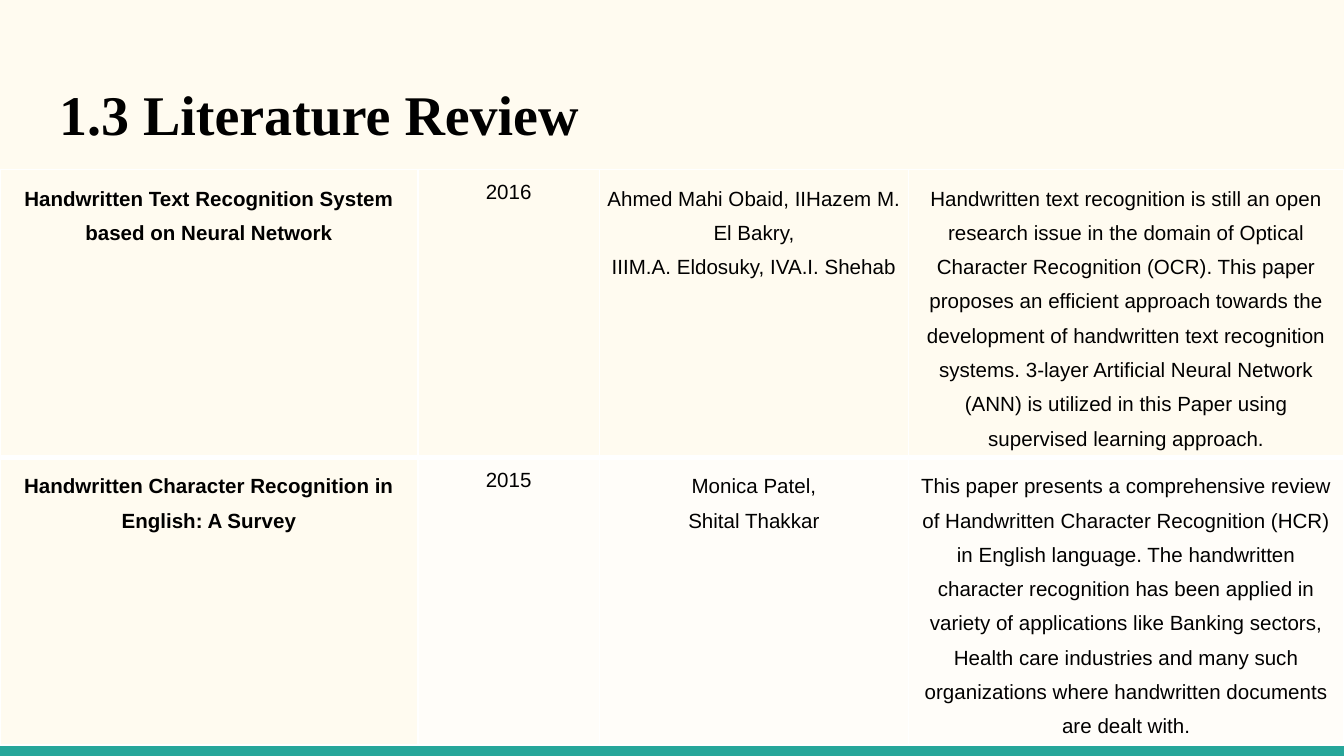
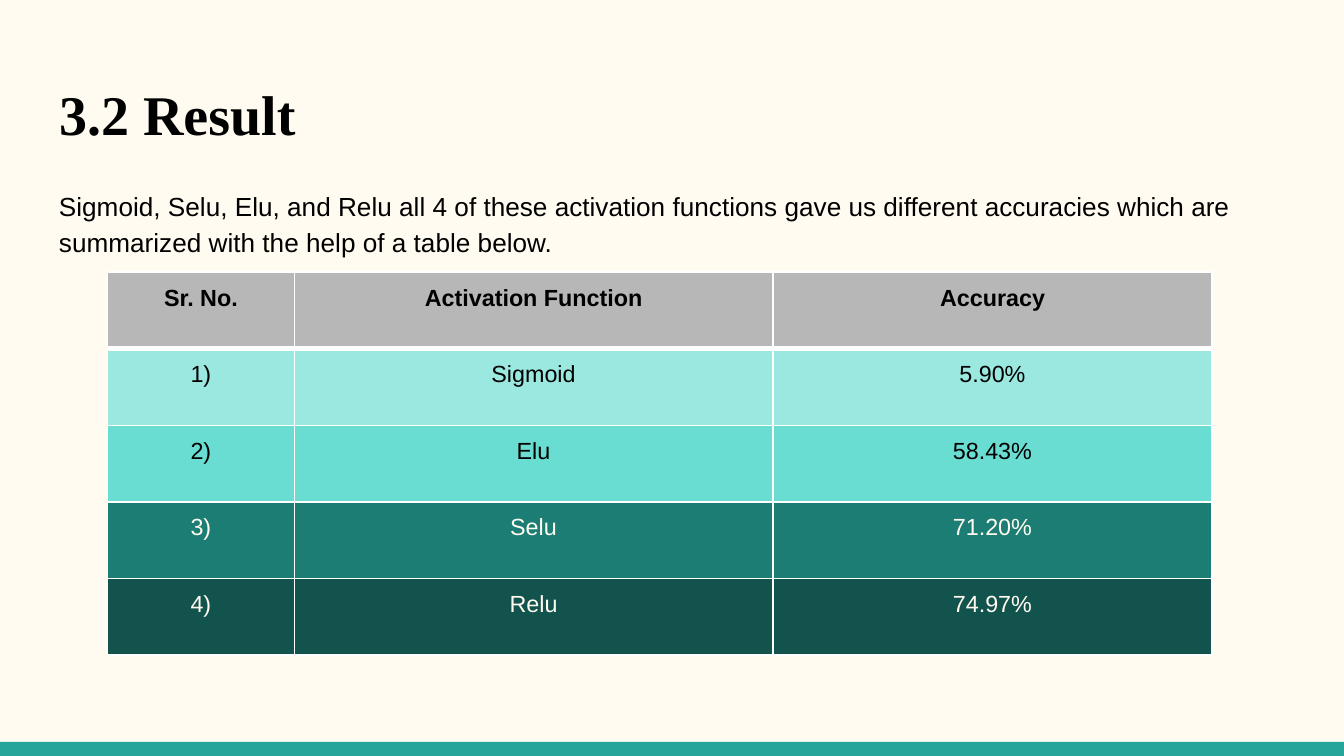
from lxml import etree
from pptx import Presentation
from pptx.dml.color import RGBColor
from pptx.enum.shapes import MSO_SHAPE
from pptx.enum.text import MSO_ANCHOR, MSO_AUTO_SIZE, PP_ALIGN
from pptx.oxml.ns import qn
from pptx.util import Pt

RECTANGLE = MSO_SHAPE.RECTANGLE
TOP = MSO_ANCHOR.TOP
NO_FIT = MSO_AUTO_SIZE.NONE
LEFT, CENTER = PP_ALIGN.LEFT, PP_ALIGN.CENTER

PX = 4572  # 200 px to the inch
WIDTH, HEIGHT = 2000, 1125
BAND_HEIGHT = 21
TITLE_ONLY = 5
MARGIN, CONTENT_WIDTH = 68, 1864

COLORS = {
    "cream": "FFFBF0",
    "pale": "FFFDF9",
    "white": "FFFFFF",
    "black": "000000",
    "teal": "26A69A",
    "gray": "B7B7B7",
    "mint": "9BE8E1",
    "aqua": "6ADDD2",
    "deep teal": "1C7D74",
    "dark teal": "13534D",
}


def px(*lengths):
    return [length * PX for length in lengths]


def rgb(name):
    return RGBColor.from_string(COLORS[name])


class Deck:
    title_font = "Times New Roman"
    body_font = "Arial"

    def __init__(self):
        self.prs = Presentation()
        self.prs.slide_width, self.prs.slide_height = px(WIDTH, HEIGHT)
        self.slide = None

    def add_slide(self, title):
        self.slide = self.prs.slides.add_slide(self.prs.slide_layouts[TITLE_ONLY])
        background = self.slide.background.fill
        background.solid()
        background.fore_color.rgb = rgb("cream")
        self.band()
        self.title(title)

    def band(self):
        band = self.slide.shapes.add_shape(
            RECTANGLE, *px(0, HEIGHT - BAND_HEIGHT, WIDTH, BAND_HEIGHT))
        band.shadow.inherit = False
        band.fill.solid()
        band.fill.fore_color.rgb = rgb("teal")
        band.line.fill.background()

    def title(self, text):
        heading = self.slide.shapes.title
        heading.left, heading.top, heading.width, heading.height = px(
            MARGIN, 98, CONTENT_WIDTH, 134)
        self.frame(heading.text_frame, text)
        self.style(heading.text_frame, 30, font=self.title_font, bold=True)

    def text(self, box, text, size, spacing):
        area = self.slide.shapes.add_textbox(*px(*box))
        self.frame(area.text_frame, text)
        self.style(area.text_frame, size, spacing=spacing)

    def frame(self, frame, text):
        frame.text = text
        frame.word_wrap = True
        frame.auto_size = NO_FIT
        frame.vertical_anchor = TOP
        (frame.margin_left, frame.margin_top,
         frame.margin_right, frame.margin_bottom) = px(20, 20, 20, 20)

    def style(self, frame, size, font=body_font, color="black", bold=False,
              align=LEFT, spacing=1.0):
        for paragraph in frame.paragraphs:
            paragraph.alignment = align
            paragraph.line_spacing = spacing
            # Cancel the space that the placeholder would inherit
            paragraph.space_before = Pt(0)
            paragraph.font.name = font
            paragraph.font.size = Pt(size)
            paragraph.font.bold = bold
            paragraph.font.color.rgb = rgb(color)

    def table(self, left, top, columns, row_height, rows):
        """Draw a grid whose first row has a thick lower border."""
        grid = self.slide.shapes.add_table(
            len(rows), len(columns),
            *px(left, top, sum(columns), row_height * len(rows))).table
        grid.first_row = grid.horz_banding = False
        for column, width in zip(grid.columns, columns):
            column.width = width * PX
        for r, row in enumerate(rows):
            grid.rows[r].height = row_height * PX
            for c, content in enumerate(row):
                self.cell(grid.cell(r, c), bottom=3 if r == 0 else 1, **content)

    def cell(self, cell, text, fill, size, insets, bottom, color="black", bold=False):
        cell.text = text
        (cell.margin_left, cell.margin_top,
         cell.margin_right, cell.margin_bottom) = px(*insets)
        cell.vertical_anchor = TOP
        self.style(cell.text_frame, size, color=color, bold=bold,
                   align=CENTER, spacing=1.5)
        # Borders come before the fill in the cell properties
        properties = cell._tc.get_or_add_tcPr()
        for side, width in (("L", 1), ("R", 1), ("T", 1), ("B", bottom)):
            line = etree.SubElement(properties, qn(f"a:ln{side}"), w=str(Pt(width)))
            paint = etree.SubElement(line, qn("a:solidFill"))
            etree.SubElement(paint, qn("a:srgbClr"), val=COLORS["white"])
        cell.fill.solid()
        cell.fill.fore_color.rgb = rgb(fill)


def literature_review(deck):
    deck.add_slide("1.3 Literature Review")
    papers = [
        ("Handwritten Text Recognition System based on Neural Network",
         "2016",
         "Ahmed Mahi Obaid, IIHazem M. El Bakry,\nIIIM.A. Eldosuky, IVA.I. Shehab",
         "Handwritten text recognition is still an open research issue in the "
         "domain of Optical Character Recognition (OCR). This paper proposes an "
         "efficient approach towards the development of handwritten text "
         "recognition systems. 3-layer Artificial Neural Network (ANN) is utilized "
         "in this Paper using supervised learning approach."),
        ("Handwritten Character Recognition in English: A Survey",
         "2015",
         "Monica Patel,\nShital Thakkar",
         "This paper presents a comprehensive review of Handwritten Character "
         "Recognition (HCR) in English language. The handwritten character "
         "recognition has been applied in variety of applications like Banking "
         "sectors, Health care industries and many such organizations where "
         "handwritten documents are dealt with."),
    ]
    year_column = 1
    rows = [
        [dict(text=text, size=11, bold=c == 0,
              fill="pale" if r and c else "cream",
              insets=(0,) * 4 if c == year_column else (10,) * 4)
         for c, text in enumerate(paper)]
        for r, paper in enumerate(papers)
    ]
    deck.table(0, 252, (622, 270, 460, 648), 424, rows)


def result(deck):
    deck.add_slide("3.2 Result")
    deck.text((MARGIN, 256, CONTENT_WIDTH, 742),
              "Sigmoid, Selu, Elu, and Relu all 4 of these activation functions gave "
              "us different accuracies which are summarized with the help of a table "
              "below.", 14, 1.15)
    accuracies = [
        ("gray", "black", ("Sr. No.", "Activation Function", "Accuracy")),
        ("mint", "black", ("1)", "Sigmoid", "5.90%")),
        ("aqua", "black", ("2)", "Elu", "58.43%")),
        ("deep teal", "cream", ("3)", "Selu", "71.20%")),
        ("dark teal", "cream", ("4)", "Relu", "74.97%")),
    ]
    rows = [
        [dict(text=text, size=12.5, bold=r == 0, fill=fill, color=color,
              insets=(14, 0, 14, 0)) for text in texts]
        for r, (fill, color, texts) in enumerate(accuracies)
    ]
    deck.table(160, 405, (278, 712, 654), 114, rows)


def main():
    deck = Deck()
    literature_review(deck)
    result(deck)
    deck.prs.save("out.pptx")


if __name__ == "__main__":
    main()
